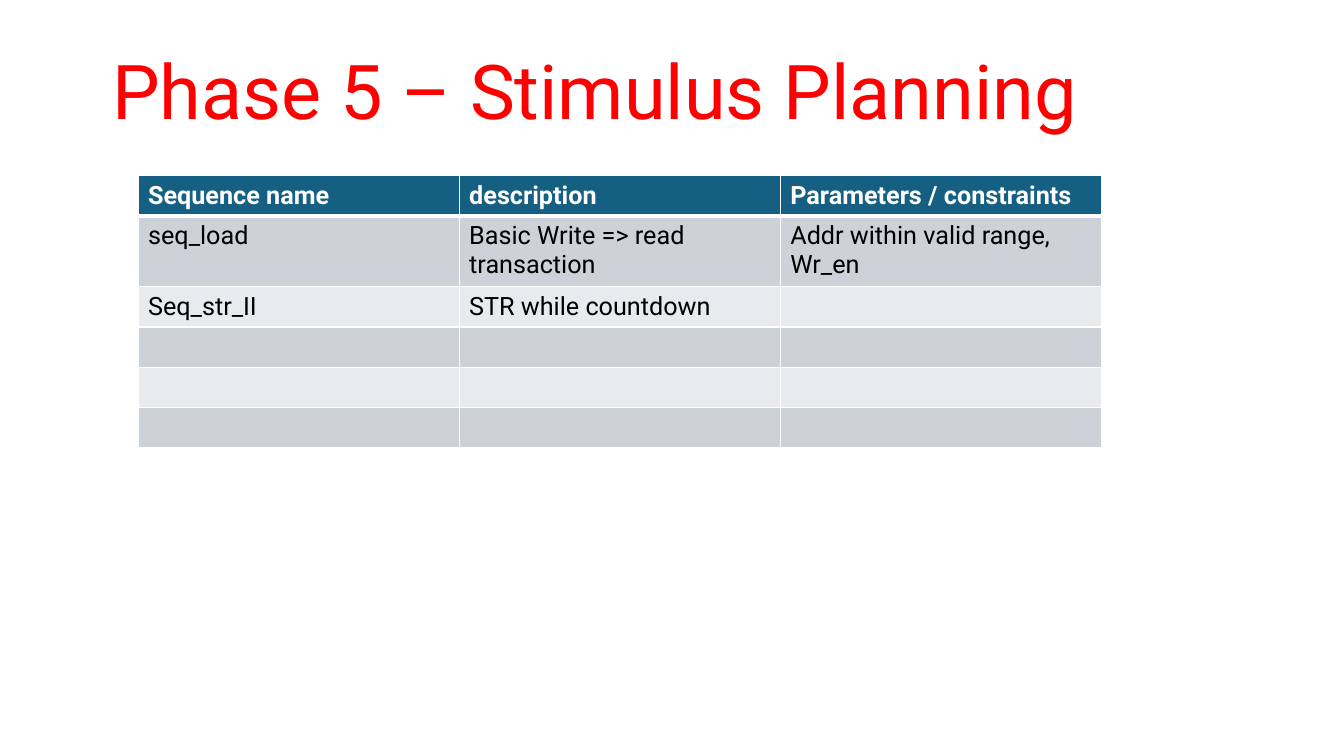
from lxml.etree import SubElement
from pptx import Presentation
from pptx.dml.color import RGBColor
from pptx.enum.text import MSO_ANCHOR, PP_ALIGN
from pptx.oxml.ns import qn
from pptx.util import Pt

FONT = "Roboto"
RED = RGBColor(0xFF, 0x00, 0x00)
WHITE = RGBColor(0xFF, 0xFF, 0xFF)
BLACK = RGBColor(0x00, 0x00, 0x00)
HEADER_BLUE = RGBColor(0x15, 0x60, 0x82)
BAND_DARK = RGBColor(0xCC, 0xD2, 0xD8)
BAND_LIGHT = RGBColor(0xE8, 0xEA, 0xED)

SEQUENCES = [
    ["Sequence name", "description", "Parameters / constraints"],
    ["seq_load", "Basic Write => read transaction", "Addr within valid range,\nWr_en"],
    ["Seq_str_II", "STR while countdown", ""],
    ["", "", ""],
    ["", "", ""],
    ["", "", ""],
]
ROW_HEIGHTS = [28.3, 49.4, 28.3, 28.3, 28.3, 28.3]


def style_paragraph(paragraph, size, color, bold=False):
    for font in [paragraph.font] + [run.font for run in paragraph.runs]:
        font.name = FONT
        font.size = Pt(size)
        font.bold = bold
        font.color.rgb = color


def add_title(slide, left, top, width, height):
    box = slide.shapes.add_textbox(Pt(left), Pt(top), Pt(width), Pt(height))
    frame = box.text_frame
    frame.word_wrap = True
    frame.vertical_anchor = MSO_ANCHOR.BOTTOM
    frame.text = "Phase 5 – Stimulus Planning"
    paragraph = frame.paragraphs[0]
    paragraph.alignment = PP_ALIGN.CENTER
    paragraph.line_spacing = 0.9
    style_paragraph(paragraph, 54, RED)


def add_borders(cell, bottom_width):
    properties = cell._tc.get_or_add_tcPr()
    widths = {"a:lnL": 1, "a:lnR": 1, "a:lnT": 1, "a:lnB": bottom_width}
    for side, width in widths.items():
        line = SubElement(properties, qn(side), w=str(Pt(width)))
        fill = SubElement(line, qn("a:solidFill"))
        SubElement(fill, qn("a:srgbClr"), val=str(WHITE))


def add_sequence_table(slide, left, top, width):
    table = slide.shapes.add_table(
        len(SEQUENCES), len(SEQUENCES[0]),
        Pt(left), Pt(top), Pt(width), Pt(sum(ROW_HEIGHTS)),
    ).table
    for column in table.columns:
        column.width = Pt(width / len(table.columns))
    for index, (texts, height) in enumerate(zip(SEQUENCES, ROW_HEIGHTS)):
        table.rows[index].height = Pt(height)
        header = index == 0
        band = BAND_DARK if index % 2 else BAND_LIGHT
        for cell, text in zip(table.rows[index].cells, texts):
            # Borders go before the fill in the cell properties
            add_borders(cell, 3 if header else 1)
            cell.fill.solid()
            cell.fill.fore_color.rgb = HEADER_BLUE if header else band
            cell.text_frame.text = text
            for paragraph in cell.text_frame.paragraphs:
                style_paragraph(paragraph, 18, WHITE if header else BLACK, header)


def main():
    presentation = Presentation()
    presentation.slide_width = Pt(960)
    presentation.slide_height = Pt(540)
    slide = presentation.slides.add_slide(presentation.slide_layouts[6])
    # Title
    add_title(slide, 27.4, 29.5, 795, 71.3)
    # Stimulus sequences
    add_sequence_table(slide, 98.6, 125.5, 688.2)
    presentation.save("out.pptx")


if __name__ == "__main__":
    main()
